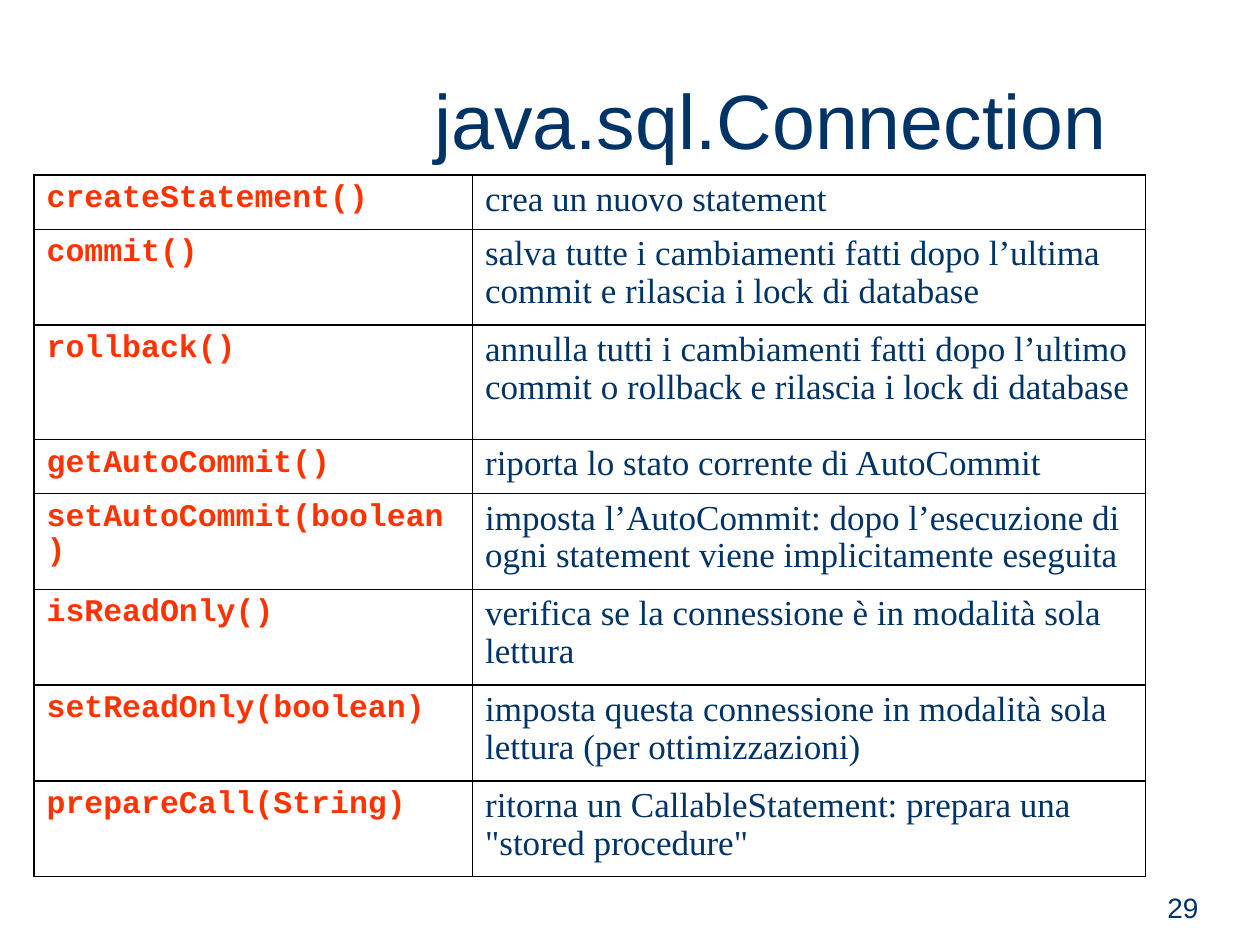
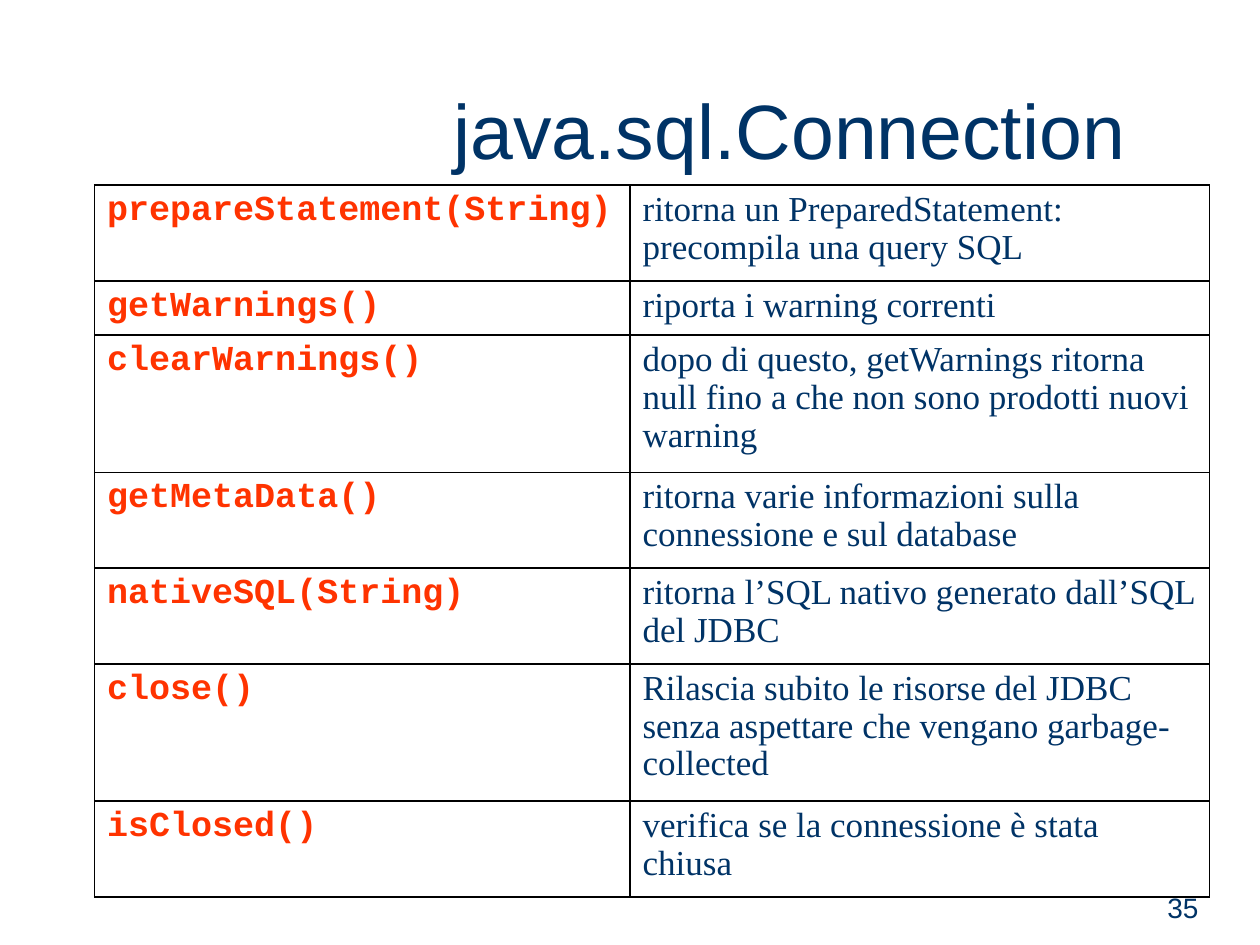
from pptx import Presentation
from pptx.dml.color import RGBColor
from pptx.enum.text import MSO_ANCHOR, PP_ALIGN
from pptx.oxml import parse_xml
from pptx.oxml.ns import nsdecls
from pptx.util import Inches, Pt

LEFT, RIGHT = PP_ALIGN.LEFT, PP_ALIGN.RIGHT
BOTTOM = MSO_ANCHOR.BOTTOM

TITLE = "java.sql.Connection"

PAGES = [
    {
        "page": "29",
        "title": (3.35, 0.52, 5.83, 0.84),
        "table": (0.27, 1.39),
        "cols": (3.48, 5.34),
        "code": 18,
        "rows": [
            ("createStatement()", "crea un nuovo statement", 1),
            ("commit()", "salva tutte i cambiamenti fatti dopo l’ultima commit e rilascia i lock di database", 2),
            ("rollback()", "annulla tutti i cambiamenti fatti dopo l’ultimo commit o rollback e rilascia i lock di database", 2.45),
            ("getAutoCommit()", "riporta lo stato corrente di AutoCommit", 1),
            ("setAutoCommit(boolean)", "imposta l’AutoCommit: dopo l’esecuzione di ogni statement viene implicitamente eseguita", 2),
            ("isReadOnly()", "verifica se la connessione è in modalità sola lettura", 2),
            ("setReadOnly(boolean)", "imposta questa connessione in modalità sola lettura (per ottimizzazioni)", 2),
            ("prepareCall(String)", "ritorna un CallableStatement: prepara una \"stored procedure\"", 2),
        ],
    },
    {
        "page": "35",
        "title": (3.5, 0.6, 5.95, 0.84),
        "table": (0.75, 1.47),
        "cols": (4.25, 4.6),
        "code": 20,
        "rows": [
            ("prepareStatement(String)", "ritorna un PreparedStatement: precompila una query SQL", 2),
            ("getWarnings()", "riporta i warning correnti", 1),
            ("clearWarnings()", "dopo di questo, getWarnings ritorna null fino a che non sono prodotti nuovi warning", 3),
            ("getMetaData()", "ritorna varie informazioni sulla connessione e sul database", 2),
            ("nativeSQL(String)", "ritorna l’SQL nativo generato dall’SQL del JDBC", 2),
            ("close()", "Rilascia subito le risorse del JDBC senza aspettare che vengano garbage-collected", 3),
            ("isClosed()", "verifica se la connessione è stata chiusa", 2),
        ],
    },
]

THEME = {
    "navy": "003366", "red": "FF3300", "rule": "000000",
    "sans": "Arial", "serif": "Times New Roman", "mono": "Courier New",
    "head": 44, "body": 20, "foot": 16, "border": 0.96, "lead": 0.97,
}
SIZE = (10, 7.5)
FOOT = (7.21, 6.88, 2.4, 0.5)
PAD, LINE = 0.1, 0.33


def style(para, face, size, tone, bold=False, align=LEFT):
    para.alignment = align
    for run in para.runs:
        font = run.font
        font.name, font.size, font.bold = THEME[face], Pt(size), bold
        font.color.rgb = RGBColor.from_string(THEME[tone])


def label(slide, area, text, size, align=LEFT):
    frame = slide.shapes.add_textbox(*map(Inches, area)).text_frame
    frame.word_wrap = True
    frame.vertical_anchor = BOTTOM
    frame.text = text
    style(frame.paragraphs[0], "sans", size, "navy", align=align)


def rule(cell):
    props = cell._tc.get_or_add_tcPr()
    for spot, side in enumerate(("lnL", "lnR", "lnT", "lnB")):
        props.insert(spot, parse_xml(
            f'<a:{side} {nsdecls("a")} w="{Pt(THEME["border"])}"><a:solidFill>'
            f'<a:srgbClr val="{THEME["rule"]}"/></a:solidFill></a:{side}>'))


def fill(cell, text, face, size, tone, bold):
    cell.text = text
    para = cell.text_frame.paragraphs[0]
    para.line_spacing = THEME["lead"]
    style(para, face, size, tone, bold)
    cell.fill.background()
    rule(cell)


def grid(slide, data):
    rows, cols = data["rows"], data["cols"]
    tall = [PAD + LINE * lines for *_, lines in rows]
    area = (*data["table"], sum(cols), sum(tall))
    table = slide.shapes.add_table(len(rows), len(cols), *map(Inches, area)).table
    table.first_row = table.horz_banding = False
    for col, width in zip(table.columns, cols):
        col.width = Inches(width)
    for at, (call, note, _) in enumerate(rows):
        table.rows[at].height = Inches(tall[at])
        fill(table.cell(at, 0), call, "mono", data["code"], "red", True)
        fill(table.cell(at, 1), note, "serif", THEME["body"], "navy", False)


def main():
    deck = Presentation()
    deck.slide_width, deck.slide_height = map(Inches, SIZE)
    for data in PAGES:
        slide = deck.slides.add_slide(deck.slide_layouts[6])
        grid(slide, data)
        label(slide, data["title"], TITLE, THEME["head"])
        label(slide, FOOT, data["page"], THEME["foot"], RIGHT)
    deck.save("out.pptx")


if __name__ == "__main__":
    main()
